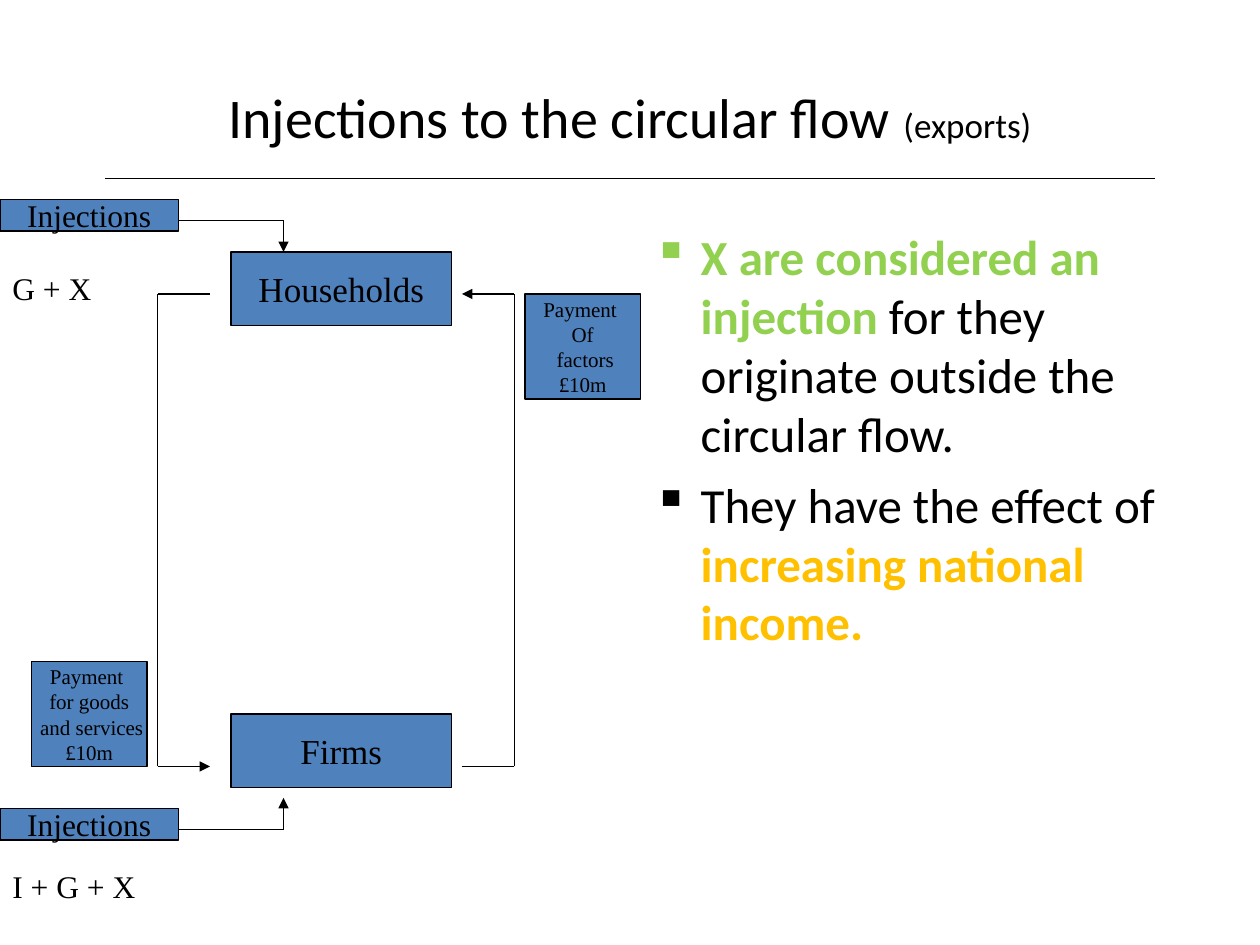
from dataclasses import dataclass
from typing import Any, Optional

import lxml.etree
import pptx
import pptx.dml.color
import pptx.enum.shapes
import pptx.enum.text
import pptx.oxml.ns
import pptx.util

WIDTH, HEIGHT = pptx.util.Inches(10), pptx.util.Inches(7.5)
COLUMNS, ROWS = 120, 90
BLACK, BLUE, GREEN, GOLD = "000000", "4F81BD", "92D050", "FFC000"
SANS, SERIF = "Calibri", "Times New Roman"
CENTER = pptx.enum.text.PP_ALIGN.CENTER
MIDDLE = pptx.enum.text.MSO_ANCHOR.MIDDLE


@dataclass
class Area:
    column: float
    row: float
    columns: float
    rows: float


@dataclass
class Block:
    area: Area
    lines: list[str]
    size: int


@dataclass
class Span:
    text: str
    color: str = BLACK
    bold: bool = False
    size: Optional[int] = None


@dataclass
class Route:
    points: list[tuple[float, float]]
    arrow: bool = True


ROUTES = [
    Route([(10, 17), (110, 17)], arrow=False),
    Route([(20, 28), (15, 28), (15, 73), (20, 73)]),
    Route([(44, 73), (49, 73), (49, 28), (44, 28)]),
    Route([(17, 21), (27, 21), (27, 24)]),
    Route([(17, 79), (27, 79), (27, 76)]),
]
BLOCKS = [
    Block(Area(22, 24, 21, 7), ["Households"], 20),
    Block(Area(22, 68, 21, 7), ["Firms"], 20),
    Block(Area(50, 28, 11, 10), ["Payment ", "Of", " factors", "£10m"], 12),
    Block(Area(3, 63, 11, 10), ["Payment ", "for goods", " and services", "£10m"], 12),
    Block(Area(0, 19, 17, 3), ["Injections"], 18),
    Block(Area(0, 77, 17, 3), ["Injections"], 18),
]
LABELS = [
    Block(Area(0, 25, 13, 4.8), ["G + X"], 18),
    Block(Area(0, 82, 15, 4.8), ["I + G + X"], 18),
]
TITLE = [Span("Injections to the circular flow "), Span("(exports)", size=20)]
BULLETS = [
    [
        Span("X are considered an injection ", GREEN, True),
        Span("for they originate outside the circular flow."),
    ],
    [
        Span("They have the effect of "),
        Span("increasing national income.", GOLD, True),
    ],
]


def rgb(color: str) -> pptx.dml.color.RGBColor:
    return pptx.dml.color.RGBColor.from_string(color)


def across(columns: float) -> int:
    return round(WIDTH * columns / COLUMNS)


def down(rows: float) -> int:
    return round(HEIGHT * rows / ROWS)


def place(area: Area) -> tuple[int, int, int, int]:
    return across(area.column), down(area.row), across(area.columns), down(area.rows)


def add_element(parent: Any, tag: str, **attributes: str) -> Any:
    return lxml.etree.SubElement(parent, pptx.oxml.ns.qn(tag), attributes)


def set_font(font: Any, name: str, size: int) -> None:
    font.name = name
    font.size = pptx.util.Pt(size)
    font.color.rgb = rgb(BLACK)


def set_line(line: Any) -> None:
    line.color.rgb = rgb(BLACK)
    line.width = pptx.util.Pt(0.75)


def add_paragraph(frame: Any, index: int) -> Any:
    return frame.add_paragraph() if index else frame.paragraphs[0]


def add_text_box(page: Any, area: Area) -> Any:
    frame = page.shapes.add_textbox(*place(area)).text_frame
    frame.word_wrap = True
    return frame


def fill_lines(frame: Any, block: Block) -> None:
    for index, line in enumerate(block.lines):
        para = add_paragraph(frame, index)
        para.text = line
        set_font(para.font, SERIF, block.size)


def add_spans(para: Any, spans: list[Span], size: int) -> None:
    for span in spans:
        run = para.add_run()
        run.text = span.text
        set_font(run.font, SANS, span.size or size)
        run.font.color.rgb = rgb(span.color)
        run.font.bold = span.bold


def draw_block(page: Any, block: Block) -> None:
    box = page.shapes.add_shape(
        pptx.enum.shapes.MSO_SHAPE.RECTANGLE, *place(block.area)
    )
    box.shadow.inherit = False
    box.fill.solid()
    box.fill.fore_color.rgb = rgb(BLUE)
    set_line(box.line)
    frame = box.text_frame
    frame.word_wrap = False
    frame.vertical_anchor = MIDDLE
    fill_lines(frame, block)
    for para in frame.paragraphs:
        para.alignment = CENTER


def draw_label(page: Any, label: Block) -> None:
    frame = add_text_box(page, label.area)
    fill_lines(frame, label)
    frame.paragraphs[0].space_before = pptx.util.Pt(11.2)


def draw_route(page: Any, route: Route) -> None:
    for start, end in zip(route.points, route.points[1:]):
        connector = page.shapes.add_connector(
            pptx.enum.shapes.MSO_CONNECTOR.STRAIGHT,
            across(start[0]), down(start[1]), across(end[0]), down(end[1]),
        )
        set_line(connector.line)
        properties = connector.element.spPr
        add_element(properties, "a:effectLst")
        if route.arrow and end == route.points[-1]:
            line = properties.find(pptx.oxml.ns.qn("a:ln"))
            add_element(line, "a:tailEnd", type="triangle")


def draw_title(page: Any) -> None:
    frame = add_text_box(page, Area(6, 3.6, 108, 15))
    frame.vertical_anchor = MIDDLE
    para = frame.paragraphs[0]
    para.alignment = CENTER
    add_spans(para, TITLE, 32)


def draw_bullets(page: Any) -> None:
    frame = add_text_box(page, Area(61, 21, 53, 59.4))
    indent = pptx.util.Inches(0.38)
    for index, spans in enumerate(BULLETS):
        para = add_paragraph(frame, index)
        para.space_before = pptx.util.Pt(7)
        properties = para._p.get_or_add_pPr()
        properties.set("marL", str(indent))
        properties.set("indent", str(-indent))
        add_element(add_element(properties, "a:buClr"), "a:srgbClr", val=spans[0].color)
        add_element(properties, "a:buChar", char="▪")
        add_spans(para, spans, 28)


def main() -> None:
    deck = pptx.Presentation()
    deck.slide_width, deck.slide_height = WIDTH, HEIGHT
    page = deck.slides.add_slide(deck.slide_layouts[6])
    draw_title(page)
    draw_bullets(page)
    for route in ROUTES:
        draw_route(page, route)
    for block in BLOCKS:
        draw_block(page, block)
    for label in LABELS:
        draw_label(page, label)
    deck.save("out.pptx")


if __name__ == "__main__":
    main()
